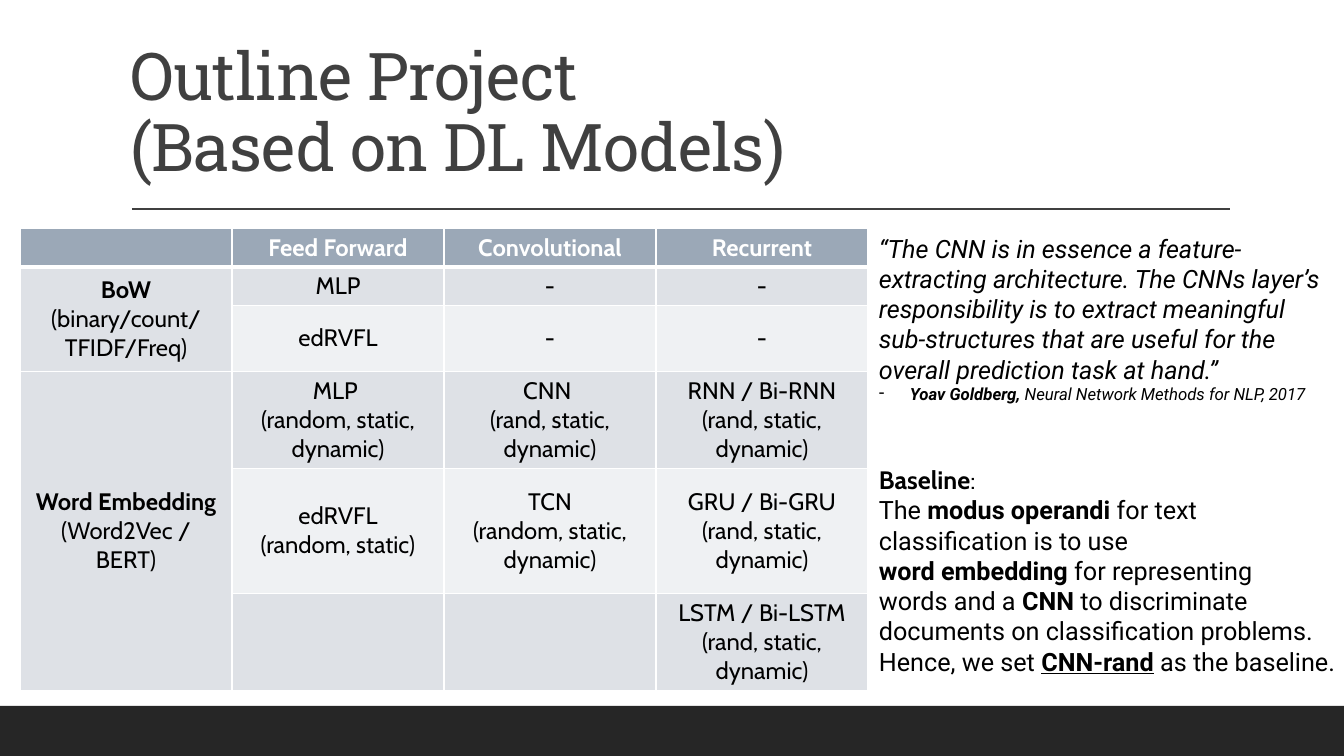
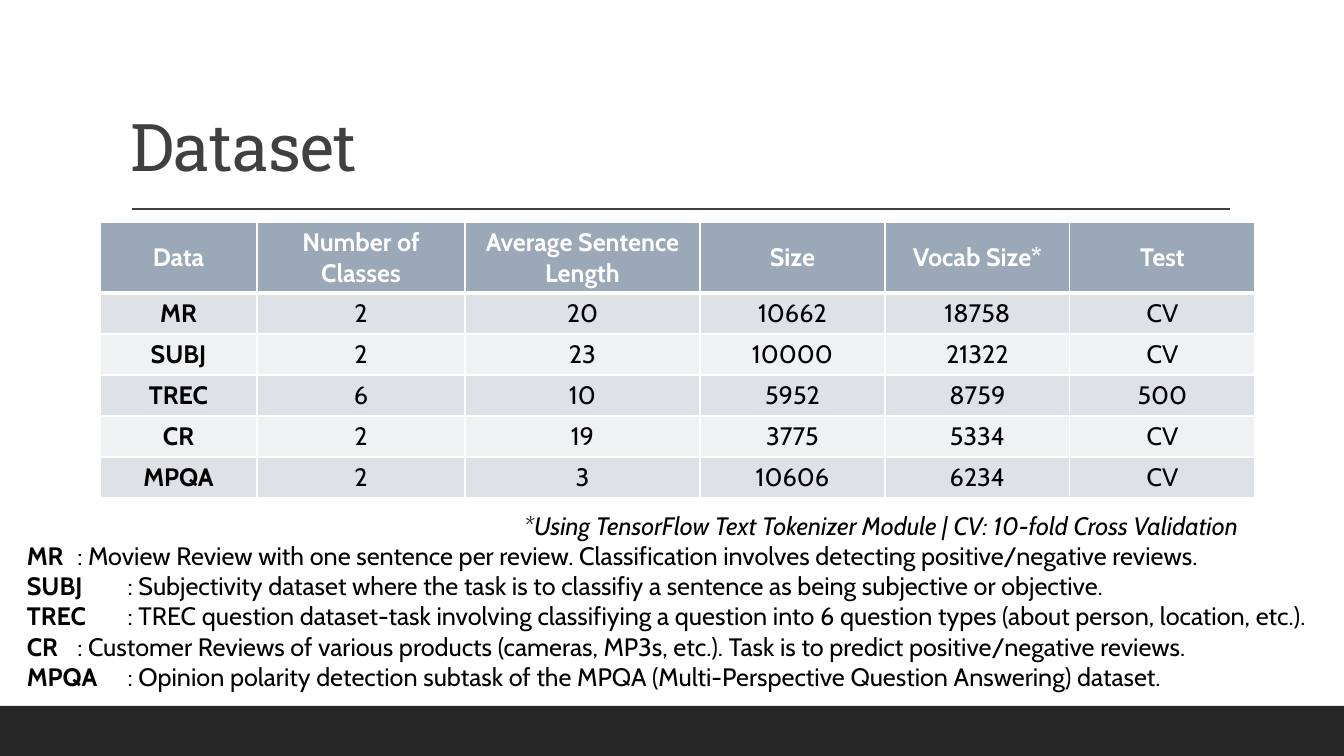
from lxml import etree
from pptx import Presentation
from pptx import util as u
from pptx.dml.color import RGBColor
from pptx.enum import shapes, text
from pptx.oxml import ns

PAGE_W, PAGE_H = 1344, 756
SCALE = 12192000 / PAGE_W

WHITE = RGBColor(0xFF, 0xFF, 0xFF)
BLACK = RGBColor(0x00, 0x00, 0x00)
CHARCOAL = RGBColor(0x26, 0x26, 0x26)
GRAPHITE = RGBColor(0x40, 0x40, 0x40)
HEADER = RGBColor(0x9B, 0xA8, 0xB7)
STRIPES = (RGBColor(0xDE, 0xE1, 0xE6), RGBColor(0xEF, 0xF1, 0xF3))

TITLE_FONT, TABLE_FONT, QUOTE_FONT = "Roboto Slab", "Cabin", "Roboto"
CENTER = text.PP_ALIGN.CENTER


def px(length):
    return u.Emu(round(length * SCALE))


def add_span(para, words, font, size, color=BLACK, style=""):
    span = para.add_run()
    span.text = words
    span.font.name = font
    span.font.size = u.Pt(size)
    span.font.color.rgb = color
    span.font.bold = "b" in style
    span.font.italic = "i" in style
    span.font.underline = "u" in style
    return span


def add_para(frame, spans, font, size, color=BLACK, align=None):
    first = frame.paragraphs[0]
    para = frame.add_paragraph() if first.runs else first
    para.alignment = align
    for words, style in spans:
        add_span(para, words, font, size, color, style)
    return para


def add_text_box(page, box):
    frame = page.shapes.add_textbox(*map(px, box)).text_frame
    frame.word_wrap = True
    return frame


def set_indent(para, left, first=0, bullet=None):
    props = para._p.get_or_add_pPr()
    props.set("marL", str(px(left)))
    props.set("indent", str(px(first)))
    if bullet:
        etree.SubElement(props, ns.qn("a:buChar")).set("char", bullet)


def add_title(page, box, lines):
    frame = add_text_box(page, box)
    frame.vertical_anchor = text.MSO_ANCHOR.BOTTOM
    para = frame.paragraphs[0]
    para.line_spacing = 0.9
    for index, line in enumerate(lines):
        if index:
            para.add_line_break()
        span = add_span(para, line, TITLE_FONT, 47, GRAPHITE)
        span._r.get_or_add_rPr().set("spc", "-50")


def add_page(deck, title_lines):
    page = deck.slides.add_slide(deck.slide_layouts[6])
    band = page.shapes.add_shape(
        shapes.MSO_SHAPE.RECTANGLE, px(0), px(706), px(PAGE_W), px(50))
    band.shadow.inherit = False
    band.fill.solid()
    band.fill.fore_color.rgb = CHARCOAL
    band.line.fill.background()
    rule = page.shapes.add_connector(
        shapes.MSO_CONNECTOR.STRAIGHT, px(132), px(209), px(1230), px(209))
    rule.line.color.rgb = GRAPHITE
    rule.line.width = u.Pt(1)
    etree.SubElement(rule._element.spPr, ns.qn("a:effectLst"))
    add_title(page, (121, 31, 1109, 160), title_lines)
    return page


def set_borders(cell, bottom):
    props = cell._tc.get_or_add_tcPr()
    for side, points in (("L", 1), ("R", 1), ("T", 1), ("B", bottom)):
        line = etree.SubElement(props, ns.qn(f"a:ln{side}"))
        line.set("w", str(u.Pt(points)))
        fill = etree.SubElement(line, ns.qn("a:solidFill"))
        etree.SubElement(fill, ns.qn("a:srgbClr")).set("val", str(WHITE))


def fill_cell(cell, lines, row, column, size):
    header = row == 0
    set_borders(cell, 3 if header else 1)
    cell.fill.solid()
    cell.fill.fore_color.rgb = HEADER if header else STRIPES[(row - 1) % 2]
    cell.vertical_anchor = text.MSO_ANCHOR.MIDDLE
    if not lines:
        end = etree.SubElement(
            cell.text_frame.paragraphs[0]._p, ns.qn("a:endParaRPr"))
        end.set("sz", str(size * 100))
        return
    for index, words in enumerate(lines.split("\n")):
        bold = header or (column == 0 and index == 0)
        add_para(cell.text_frame, [(words, "b" if bold else "")], TABLE_FONT,
                 size, WHITE if header else BLACK, CENTER)


def add_grid(page, left, top, widths, heights, rows, size, merges=()):
    table = page.shapes.add_table(
        len(heights), len(widths), px(left), px(top),
        px(sum(widths)), px(sum(heights))).table
    for column, width in zip(table.columns, widths):
        column.width = px(width)
    for row, height in zip(table.rows, heights):
        row.height = px(height)
    for r, row in enumerate(rows):
        for c, lines in enumerate(row):
            fill_cell(table.cell(r, c), lines, r, c, size)
    for start, end in merges:
        table.cell(start, 0).merge(table.cell(end, 0))


def add_quote(page, box):
    frame = add_text_box(page, box)
    frame.margin_right = 0
    for line in (
        "“The CNN is in essence a feature-",
        "extracting architecture. The CNNs layer’s",
        "responsibility is to extract meaningful",
        "sub-structures that are useful for the",
        "overall prediction task at hand.”",
    ):
        add_para(frame, [(line, "i")], QUOTE_FONT, 18)
    author = add_para(
        frame, [("Yoav Goldberg, ", "bi"),
                ("Neural Network Methods for NLP, 2017", "i")], QUOTE_FONT, 12)
    set_indent(author, 31, -31, "-")
    heading = add_para(frame, [("Baseline", "b"), (":", "")], TABLE_FONT, 18)
    heading.space_before = u.Pt(43)
    for spans in (
        [("The ", ""), ("modus operandi", "b"), (" for text", "")],
        [("classification is to use", "")],
        [("word embedding", "b"), (" for representing", "")],
        [("words and a ", ""), ("CNN", "b"), (" to discriminate", "")],
        [("documents on classification problems.", "")],
        [("Hence, we set ", ""), ("CNN-rand", "bu"),
         (" as the baseline.", "")],
    ):
        add_para(frame, spans, QUOTE_FONT, 18)


def add_dataset_notes(page, box):
    frame = add_text_box(page, box)
    footnote = add_para(
        frame, [("*Using TensorFlow Text Tokenizer Module | "
                 "CV: 10-fold Cross Validation", "i")], TABLE_FONT, 18)
    set_indent(footnote, 497)
    for name, meaning in (
        ("MR", "Moview Review with one sentence per review. Classification "
               "involves detecting positive/negative reviews."),
        ("SUBJ", "Subjectivity dataset where the task is to classifiy a "
                 "sentence as being subjective or objective."),
        ("TREC", "TREC question dataset-task involving classifiying a question "
                 "into 6 question types (about person, location, etc.)."),
        ("CR", "Customer Reviews of various products (cameras, MP3s, etc.). "
               "Task is to predict positive/negative reviews."),
        ("MPQA", "Opinion polarity detection subtask of the MPQA "
                 "(Multi-Perspective Question Answering) dataset."),
    ):
        add_para(frame, [(name, "b"), (f"\t: {meaning}", "")], TABLE_FONT, 18)


def build_outline(deck):
    page = add_page(deck, ["Outline Project", "(Based on DL Models)"])
    wide = "(random, static, dynamic)"
    short = "(rand, static, dynamic)"
    rows = [
        ["", "Feed Forward", "Convolutional", "Recurrent"],
        ["BoW\n(binary/count/TFIDF/Freq)", "MLP", "-", "-"],
        ["", "edRVFL", "-", "-"],
        ["Word Embedding\n(Word2Vec / BERT)", f"MLP \n{wide}",
         f"CNN \n{short}", f"RNN / Bi-RNN\n{short}"],
        ["", "edRVFL\n(random, static)", f"TCN\n{wide}",
         f"GRU / Bi-GRU\n{short}"],
        ["", "", "", f"LSTM / Bi-LSTM\n{short}"],
    ]
    add_grid(page, 20, 228, [212] * 4, [38, 38, 66, 97, 125, 97],
             rows, 17, [(1, 2), (3, 5)])
    add_quote(page, (869, 228, 475, 458))


def build_dataset(deck):
    page = add_page(deck, ["Dataset"])
    rows = [
        ["Data", "Number of Classes", "Average Sentence Length", "Size",
         "Vocab Size*", "Test"],
        ["MR", "2", "20", "10662", "18758", "CV"],
        ["SUBJ", "2", "23", "10000", "21322", "CV"],
        ["TREC", "6", "10", "5952", "8759", "500"],
        ["CR", "2", "19", "3775", "5334", "CV"],
        ["MPQA", "2", "3", "10606", "6234", "CV"],
    ]
    add_grid(page, 100, 222, [157, 208, 235] + [185] * 3,
             [71] + [41] * 5, rows, 18)
    add_dataset_notes(page, (17, 505, 1322, 194))


def main():
    deck = Presentation()
    deck.slide_width = px(PAGE_W)
    deck.slide_height = px(PAGE_H)
    build_outline(deck)
    build_dataset(deck)
    deck.save("out.pptx")


if __name__ == "__main__":
    main()
